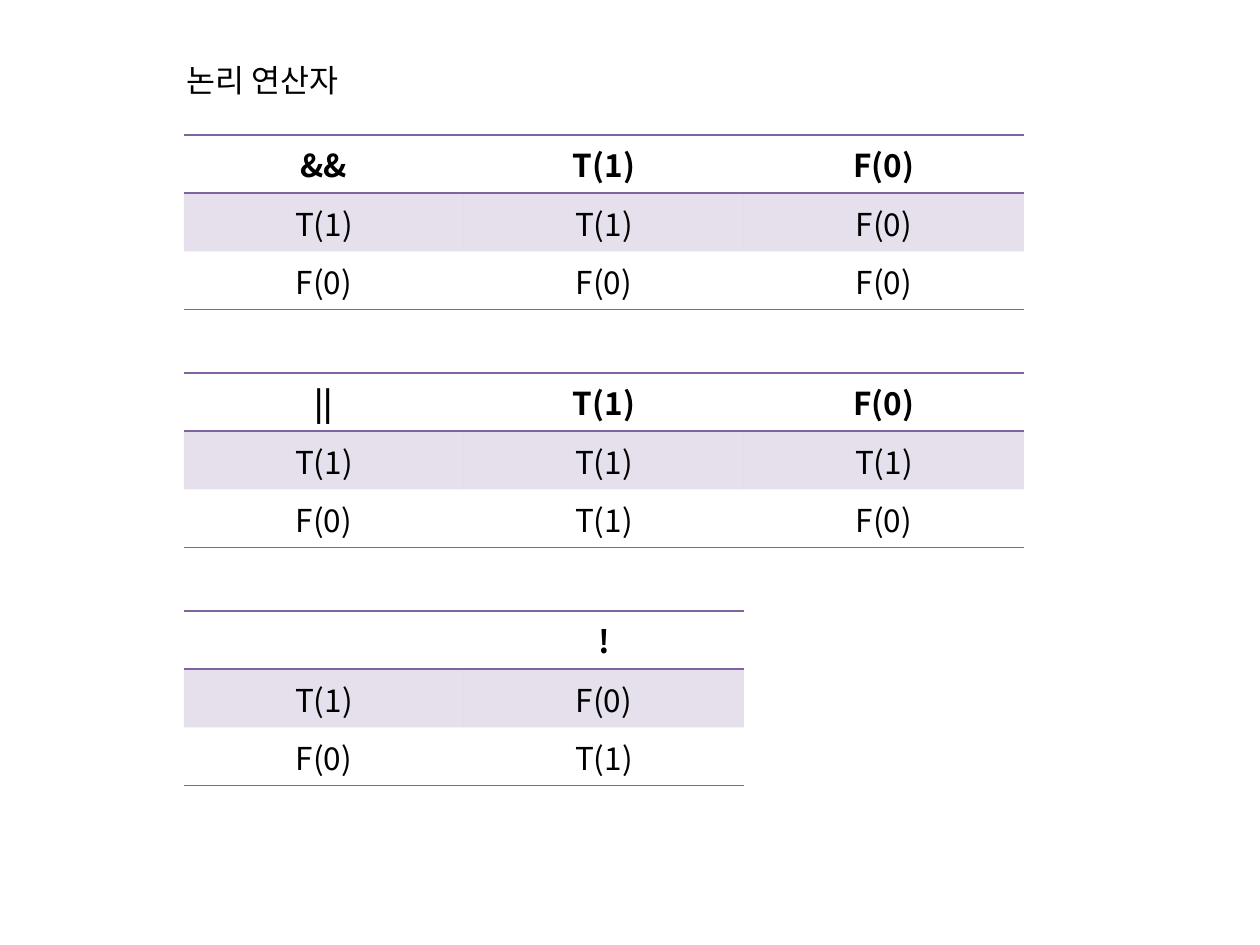
from dataclasses import dataclass

from lxml.etree import SubElement
from pptx import Presentation
from pptx.dml.color import RGBColor
from pptx.enum.text import MSO_AUTO_SIZE as AutoSize, PP_ALIGN as Align
from pptx.oxml.ns import qn
from pptx.util import Emu, Pt

PIXEL = 914400 // 126
COLORS = {"text": "000000", "accent": "8064A2"}
FONT = {"name": "Noto Sans CJK KR", "size": Pt(18)}
TABLE_FLAGS = {"first_row": False, "horz_banding": False}
TITLE_FRAME = {"word_wrap": True, "auto_size": AutoSize.SHAPE_TO_FIT_TEXT}
LEFT, FIRST_TOP, TABLE_STEP = 184, 135, 238
COLUMN_WIDTH, ROW_HEIGHT = 280, 51
RULED_EDGES = {0: ("T", "B"), 1: ("T",), 2: ("B",)}


@dataclass
class TruthTable:
    rows: list[list[str]]


TRUTH_TABLES = [
    TruthTable([["&&", "T(1)", "F(0)"], ["T(1)", "T(1)", "F(0)"], ["F(0)", "F(0)", "F(0)"]]),
    TruthTable([["||", "T(1)", "F(0)"], ["T(1)", "T(1)", "T(1)"], ["F(0)", "T(1)", "F(0)"]]),
    TruthTable([["", "!"], ["T(1)", "F(0)"], ["F(0)", "T(1)"]]),
]


def px(length: int) -> Emu:
    return Emu(length * PIXEL)


def apply(target, values: dict) -> None:
    for attribute, value in values.items():
        setattr(target, attribute, value)


def write(paragraph, text: str, bold: bool = False) -> None:
    run = paragraph.add_run()
    run.text = text
    apply(run.font, FONT | {"bold": bold})
    run.font.color.rgb = RGBColor.from_string(COLORS["text"])
    SubElement(run.font._element, qn("a:ea"), typeface=FONT["name"])


def rule_edges(cell, ruled: tuple[str, ...]) -> None:
    properties = cell._tc.get_or_add_tcPr()
    for edge in "LRTB":
        border = SubElement(properties, qn(f"a:ln{edge}"), w=str(Pt(1)))
        if edge in ruled:
            ink = SubElement(border, qn("a:solidFill"))
            SubElement(ink, qn("a:srgbClr"), val=COLORS["accent"])
        else:
            SubElement(border, qn("a:noFill"))


def shade(cell) -> None:
    cell.fill.solid()
    cell.fill.fore_color.rgb = RGBColor.from_string(COLORS["accent"])
    tint = cell._tc.tcPr.find(qn("a:solidFill")).find(qn("a:srgbClr"))
    SubElement(tint, qn("a:alpha"), val="20000")


def draw_truth_table(slide, truth: TruthTable, top: int) -> None:
    row_count, column_count = len(truth.rows), len(truth.rows[0])
    table = slide.shapes.add_table(
        row_count, column_count, px(LEFT), px(top),
        px(COLUMN_WIDTH * column_count), px(ROW_HEIGHT * row_count),
    ).table
    apply(table, TABLE_FLAGS)
    for row_index, values in enumerate(truth.rows):
        for column_index, value in enumerate(values):
            cell = table.cell(row_index, column_index)
            rule_edges(cell, RULED_EDGES[row_index])
            if row_index == 1:
                shade(cell)
            else:
                cell.fill.background()
            paragraph = cell.text_frame.paragraphs[0]
            paragraph.alignment = Align.CENTER
            if value:
                write(paragraph, value, bold=row_index == 0)


def draw_title(slide, text: str) -> None:
    frame = slide.shapes.add_textbox(px(174), px(55), px(853), px(50)).text_frame
    apply(frame, TITLE_FRAME)
    write(frame.paragraphs[0], text)


presentation = Presentation()
apply(presentation, {"slide_width": px(1260), "slide_height": px(945)})
slide = presentation.slides.add_slide(presentation.slide_layouts[6])
for position, truth in enumerate(TRUTH_TABLES):
    draw_truth_table(slide, truth, FIRST_TOP + position * TABLE_STEP)
draw_title(slide, "논리 연산자")
presentation.save("out.pptx")
